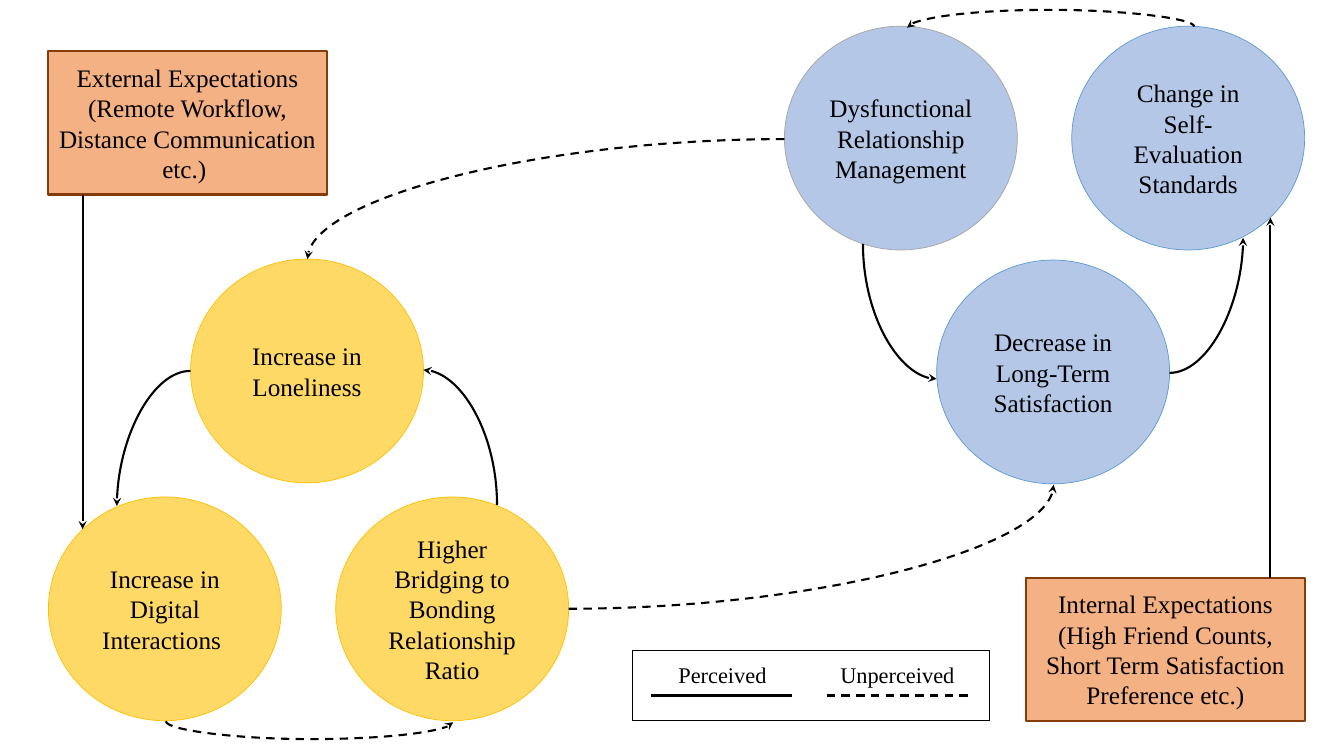
"""Build a cycle diagram of loneliness, digital interaction and satisfaction."""
from dataclasses import dataclass

from lxml.etree import SubElement
from pptx import Presentation
from pptx.dml.color import RGBColor
from pptx.enum.dml import MSO_LINE
from pptx.enum.shapes import MSO_CONNECTOR, MSO_SHAPE
from pptx.enum.text import MSO_ANCHOR, MSO_AUTO_SIZE, PP_ALIGN
from pptx.oxml.ns import qn
from pptx.util import Inches, Pt


@dataclass(frozen=True)
class Theme:
    font: str = "Times New Roman"
    ink: str = "000000"
    paper: str = "FFFFFF"
    yellow: str = "FFD966"
    gold: str = "FFC000"
    pale_blue: str = "B4C7E7"
    blue: str = "5B9BD5"
    grey: str = "A5A5A5"
    orange: str = "F4B183"
    brown: str = "843C0B"
    body: int = 18
    legend: int = 16
    thin: float = 0.5
    thick: float = 1.5


class Diagram:
    def __init__(self, slide, theme):
        self.slide = slide
        self.theme = theme

    def text(self, sp, text, size, **frame):
        tf = sp.text_frame
        for name, value in {"word_wrap": True, **frame}.items():
            setattr(tf, name, value)
        p = tf.paragraphs[0]
        p.alignment = PP_ALIGN.CENTER
        r = p.add_run()
        r.text = text
        font = {"name": self.theme.font, "size": Pt(size)}
        for name, value in font.items():
            setattr(r.font, name, value)
        r.font.color.rgb = RGBColor.from_string(self.theme.ink)

    def shape(self, kind, box, fill, line, width, text=None):
        sp = self.slide.shapes.add_shape(kind, *map(Inches, box))
        sp.shadow.inherit = False
        sp.fill.solid()
        sp.fill.fore_color.rgb = RGBColor.from_string(fill)
        sp.line.color.rgb = RGBColor.from_string(line)
        sp.line.width = Pt(width)
        if text:
            self.text(sp, text, self.theme.body, vertical_anchor=MSO_ANCHOR.MIDDLE)

    def circle(self, left, top, fill, line, text):
        self.shape(MSO_SHAPE.OVAL, (left, top, 2.31, 2.22), fill, line,
                   self.theme.thin, text)

    def expectation(self, left, top, text):
        self.shape(MSO_SHAPE.RECTANGLE, (left, top, 2.76, 1.42), self.theme.orange,
                   self.theme.brown, self.theme.thick, text)

    def label(self, box, text):
        sp = self.slide.shapes.add_textbox(*map(Inches, box))
        self.text(sp, text, self.theme.legend, auto_size=MSO_AUTO_SIZE.SHAPE_TO_FIT_TEXT)

    def line(self, start, end, dash=False, arrow=None, kind=MSO_CONNECTOR.STRAIGHT):
        cx = self.slide.shapes.add_connector(kind, *map(Inches, (*start, *end)))
        cx.line.color.rgb = RGBColor.from_string(self.theme.ink)
        cx.line.width = Pt(self.theme.thick)
        if dash:
            cx.line.dash_style = MSO_LINE.DASH
        if arrow:
            SubElement(cx.line._get_or_add_ln(), qn(f"a:{arrow}"), type="stealth")
        SubElement(cx._element.spPr, qn("a:effectLst"))
        return cx

    def quarter(self, start, end, dash=False, arrow="tailEnd"):
        """Draw a curve that leaves start level and meets end upright."""
        cx = self.line(start, end, dash, arrow, MSO_CONNECTOR.CURVE)
        cx._element.spPr.find(qn("a:prstGeom")).set("prst", "curvedConnector2")

    def arc(self, left, y, span, down, arrow):
        """Draw a dashed bow between two points at about the same height."""
        middle, half, depth = left + span / 2, span / 2, 0.01
        top, bottom = y - half, y + half
        ends = (top, bottom) if down else (bottom, top)
        cx = self.line((middle + depth, ends[0]), (middle, ends[1]), True, arrow,
                       MSO_CONNECTOR.CURVE)
        spPr = cx._element.spPr
        spPr.find(qn("a:xfrm")).set("rot", str((270 if down else 90) * 60000))
        geom = spPr.find(qn("a:prstGeom"))
        guides = geom.find(qn("a:avLst"))
        if guides is None:
            guides = SubElement(geom, qn("a:avLst"))
        SubElement(guides, qn("a:gd"), name="adj1", fmla="val 1800000")


def main():
    prs = Presentation()
    prs.slide_width, prs.slide_height = Inches(13.33), Inches(7.5)
    s = prs.slides.add_slide(prs.slide_layouts[6])
    t = Theme()
    d = Diagram(s, t)

    for left, top, fill, line, text in (
        (0.48, 4.93, t.yellow, t.gold, "Increase in Digital Interactions "),
        (1.89, 2.57, t.yellow, t.gold, "Increase in Loneliness"),
        (3.33, 4.93, t.yellow, t.gold, "Higher Bridging to Bonding Relationship Ratio"),
        (9.29, 2.58, t.pale_blue, t.blue, "Decrease in Long-Term Satisfaction"),
        (7.78, 0.26, t.pale_blue, t.grey, "Dysfunctional Relationship Management"),
        (10.63, 0.26, t.pale_blue, t.blue, "Change in Self-Evaluation Standards"),
    ):
        d.circle(left, top, fill, line, text)

    d.expectation(0.48, 0.51, "External Expectations (Remote Workflow, "
                  "Distance Communication etc.) ")
    d.expectation(10.18, 5.73, "Internal Expectations (High Friend Counts, "
                  "Short Term Satisfaction Preference etc.)")
    d.line((12.6, 5.73), (12.6, 2.16), arrow="tailEnd")
    d.line((0.82, 1.93), (0.82, 5.25), arrow="tailEnd")

    d.quarter((1.89, 3.68), (1.16, 5.02))
    d.quarter((4.2, 3.67), (4.93, 5.01), arrow="headEnd")
    d.quarter((9.29, 3.76), (8.56, 2.42), arrow="headEnd")
    d.quarter((11.6, 3.7), (12.33, 2.36))
    d.quarter((7.78, 1.38), (3.05, 2.57), dash=True)
    d.quarter((5.64, 6.04), (10.45, 4.81), dash=True)
    d.arc(1.64, 7.16, 2.85, True, "tailEnd")
    d.arc(8.99, 0.27, 2.85, False, "headEnd")

    d.shape(MSO_SHAPE.RECTANGLE, (6.27, 6.45, 3.54, 0.7), t.paper, t.ink, t.thin)
    for left, dash, box, text in (
        (6.46, False, (6.47, 6.51, 1.39, 0.37), "Perceived"),
        (8.2, True, (8.09, 6.51, 1.62, 0.37), "Unperceived"),
    ):
        d.line((left, 6.9), (left + 1.4, 6.9), dash)
        d.label(box, text)

    prs.save("out.pptx")


if __name__ == "__main__":
    main()
